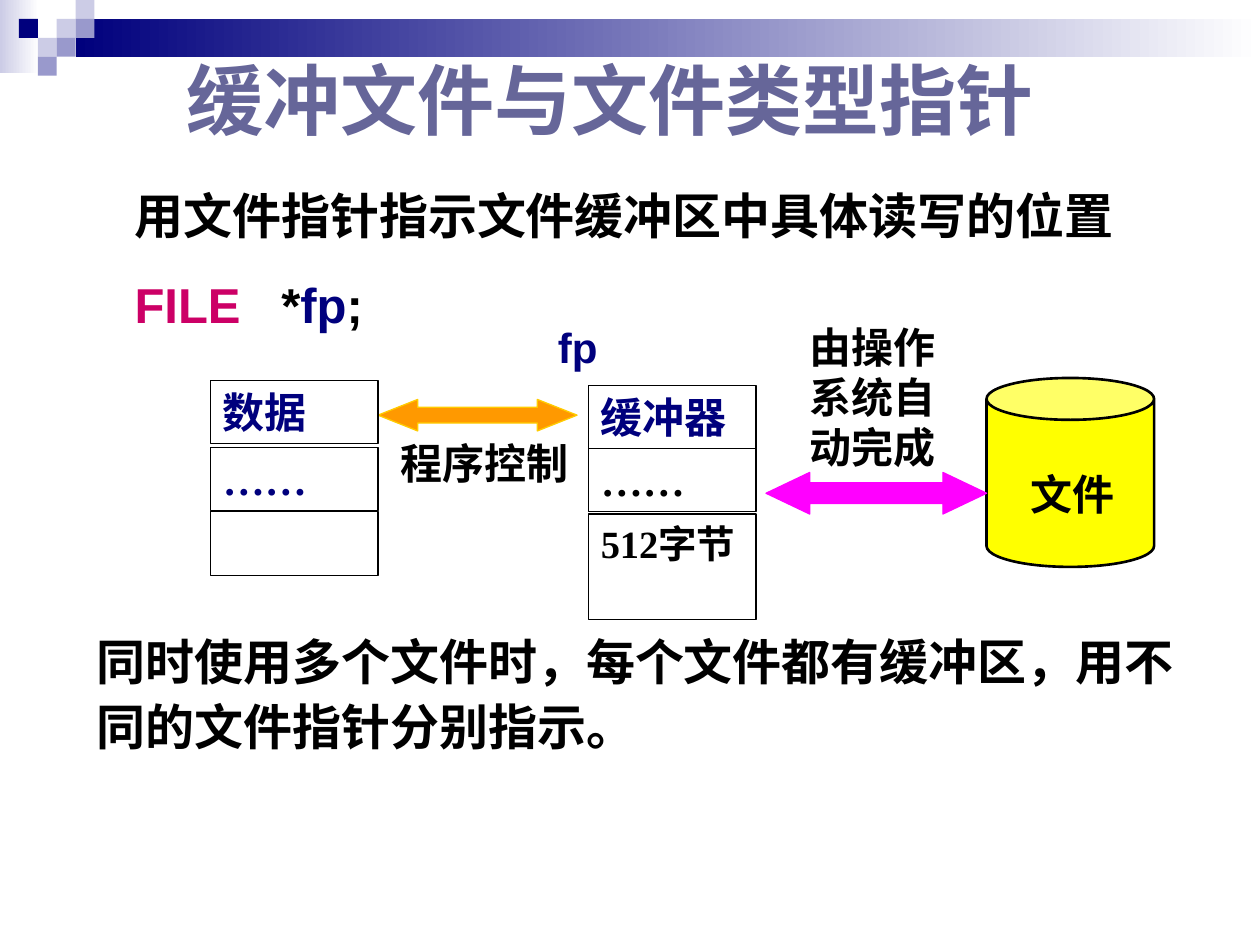
"""Build the slide on buffered files and file-type pointers."""
from dataclasses import dataclass
from typing import Optional

from lxml.etree import SubElement
from pptx import Presentation
from pptx.dml.color import RGBColor
from pptx.enum.shapes import MSO_SHAPE as Shape
from pptx.enum.text import MSO_ANCHOR as Anchor, PP_ALIGN as Align
from pptx.oxml.ns import qn
from pptx.util import Inches, Pt

BLACK = RGBColor(0x00, 0x00, 0x00)
WHITE = RGBColor(0xFF, 0xFF, 0xFF)
NAVY = RGBColor(0x00, 0x00, 0x7D)
SLATE = RGBColor(0x66, 0x66, 0x99)
LAVENDER = RGBColor(0xCC, 0xCC, 0xE6)
PERIWINKLE = RGBColor(0x99, 0x99, 0xCC)
CRIMSON = RGBColor(0xCC, 0x00, 0x66)
YELLOW = RGBColor(0xFF, 0xFF, 0x00)
MAGENTA = RGBColor(0xFF, 0x00, 0xFF)
ORANGE = RGBColor(0xFF, 0x99, 0x00)
GOLD = RGBColor(0xFF, 0xCC, 0x00)

HAN_FONT = "Noto Sans CJK SC"
SERIF = "Times New Roman"
SANS = "Arial"
TILE = 0.15


@dataclass(frozen=True)
class Box:
    left: float
    top: float
    width: float
    height: float

    def lengths(self) -> tuple:
        return tuple(Inches(v) for v in (self.left, self.top, self.width, self.height))


@dataclass(frozen=True)
class Label:
    box: Box
    text: str
    size: float = 24
    color: RGBColor = BLACK
    font: str = SERIF
    spacing: float = 1.0
    anchor: Anchor = Anchor.TOP


@dataclass(frozen=True)
class Figure:
    kind: Shape
    box: Box
    fill: Optional[RGBColor] = None
    line: Optional[RGBColor] = None
    weight: float = 0.75
    adjustments: tuple = ()


@dataclass(frozen=True)
class Band:
    box: Box
    start: RGBColor


@dataclass(frozen=True)
class Tile:
    column: int
    row: int
    color: RGBColor


BANDS = [Band(Box(0, 0, 0.31, 0.58), LAVENDER), Band(Box(0.6, 0.15, 9.4, 0.3), NAVY)]

TILES = [
    Tile(3, 1, LAVENDER), Tile(4, 0, LAVENDER), Tile(4, 1, PERIWINKLE),
    Tile(2, 2, LAVENDER), Tile(1, 1, NAVY), Tile(3, 2, PERIWINKLE),
    Tile(2, 3, PERIWINKLE),
]

FIGURES = [
    Figure(Shape.CAN, Box(7.83, 3, 1.33, 1.5), YELLOW, BLACK, 1.5, (0.25,)),
    Figure(Shape.LEFT_RIGHT_ARROW, Box(6.08, 3.75, 1.75, 0.33), MAGENTA, MAGENTA,
           adjustments=(0.5, 1.05)),
    Figure(Shape.LEFT_RIGHT_ARROW, Box(3, 3.17, 1.58, 0.25), ORANGE, GOLD,
           adjustments=(0.5, 1.26)),
]

CELLS = [
    Label(Box(1.67, 3.02, 1.33, 0.5), "数据", color=NAVY),
    Label(Box(1.67, 3.55, 1.33, 0.5), "……", color=NAVY),
    Label(Box(1.67, 4.06, 1.33, 0.51), ""),
    Label(Box(4.67, 3.06, 1.33, 0.5), "缓冲器", color=NAVY),
    Label(Box(4.67, 3.56, 1.33, 0.5), "……"),
    Label(Box(4.67, 4.08, 1.33, 0.84), "512字节", size=22),
]

LABELS = [
    Label(Box(1.38, 0.33, 7.32, 0.9), "缓冲文件与文件类型指针", 44, SLATE, HAN_FONT,
          anchor=Anchor.MIDDLE),
    Label(Box(8.08, 3.67, 0.92, 0.5), "文件"),
    Label(Box(6.33, 2.5, 1.42, 1.3), "由操作系统自动完成"),
    Label(Box(3.08, 3.42, 1.67, 0.5), "程序控制"),
    Label(Box(4.33, 2.5, 0.58, 0.5), "fp", color=NAVY, font=SANS),
    Label(Box(0.67, 4.92, 8.75, 1.13),
          "同时使用多个文件时，每个文件都有缓冲区，用不同的文件指针分别指示。",
          28, font=SANS, spacing=1.1),
]

INTRO = Label(Box(0.97, 1.33, 8.53, 1.67), "用文件指针指示文件缓冲区中具体读写的位置",
              28, font=SANS, spacing=1.2)
DECLARATION = [("FILE", CRIMSON), ("   *", BLACK), ("fp", NAVY), (";", BLACK)]


def style_paragraph(paragraph, label: Label) -> None:
    paragraph.alignment = Align.LEFT
    paragraph.line_spacing = label.spacing
    font = paragraph.font
    font.size, font.bold, font.name = Pt(label.size), True, label.font
    font.color.rgb = label.color
    defaults = paragraph._p.pPr.find(qn("a:defRPr"))
    SubElement(defaults, qn("a:ea")).set("typeface", HAN_FONT)


def write_label(frame, label: Label) -> None:
    frame.word_wrap = True
    frame.vertical_anchor = label.anchor
    paragraph = frame.paragraphs[0]
    paragraph.text = label.text
    style_paragraph(paragraph, label)


def draw_label(shapes, label: Label):
    frame = shapes.add_textbox(*label.box.lengths()).text_frame
    write_label(frame, label)
    return frame


def draw_figure(shapes, figure: Figure):
    shape = shapes.add_shape(figure.kind, *figure.box.lengths())
    shape.shadow.inherit = False
    for index, value in enumerate(figure.adjustments):
        shape.adjustments[index] = value
    if figure.fill is None:
        shape.fill.background()
    else:
        shape.fill.solid()
        shape.fill.fore_color.rgb = figure.fill
    if figure.line is None:
        shape.line.fill.background()
    else:
        shape.line.color.rgb = figure.line
        shape.line.width = Pt(figure.weight)
    return shape


def draw_band(shapes, band: Band) -> None:
    fill = draw_figure(shapes, Figure(Shape.RECTANGLE, band.box)).fill
    fill.gradient()
    fill.gradient_angle = 0
    for stop, color, position in zip(fill.gradient_stops, (band.start, WHITE), (0, 1)):
        stop.color.rgb = color
        stop.position = position


def draw_tile(shapes, tile: Tile) -> None:
    box = Box(tile.column * TILE, tile.row * TILE, TILE, TILE)
    draw_figure(shapes, Figure(Shape.RECTANGLE, box, tile.color))


def draw_cell(shapes, cell: Label) -> None:
    shape = draw_figure(shapes, Figure(Shape.RECTANGLE, cell.box, line=BLACK))
    if cell.text:
        write_label(shape.text_frame, cell)


def draw_intro(shapes) -> None:
    declaration = draw_label(shapes, INTRO).add_paragraph()
    style_paragraph(declaration, INTRO)
    declaration.line_spacing = 1.3
    declaration.space_before = Pt(7)
    for text, color in DECLARATION:
        run = declaration.add_run()
        run.text = text
        run.font.color.rgb = color


def main() -> None:
    deck = Presentation()
    deck.slide_width, deck.slide_height = Inches(10), Inches(7.5)
    shapes = deck.slides.add_slide(deck.slide_layouts[6]).shapes
    for draw, items in ((draw_band, BANDS), (draw_tile, TILES), (draw_figure, FIGURES),
                        (draw_cell, CELLS), (draw_label, LABELS)):
        for item in items:
            draw(shapes, item)
    draw_intro(shapes)
    deck.save("out.pptx")


if __name__ == "__main__":
    main()
